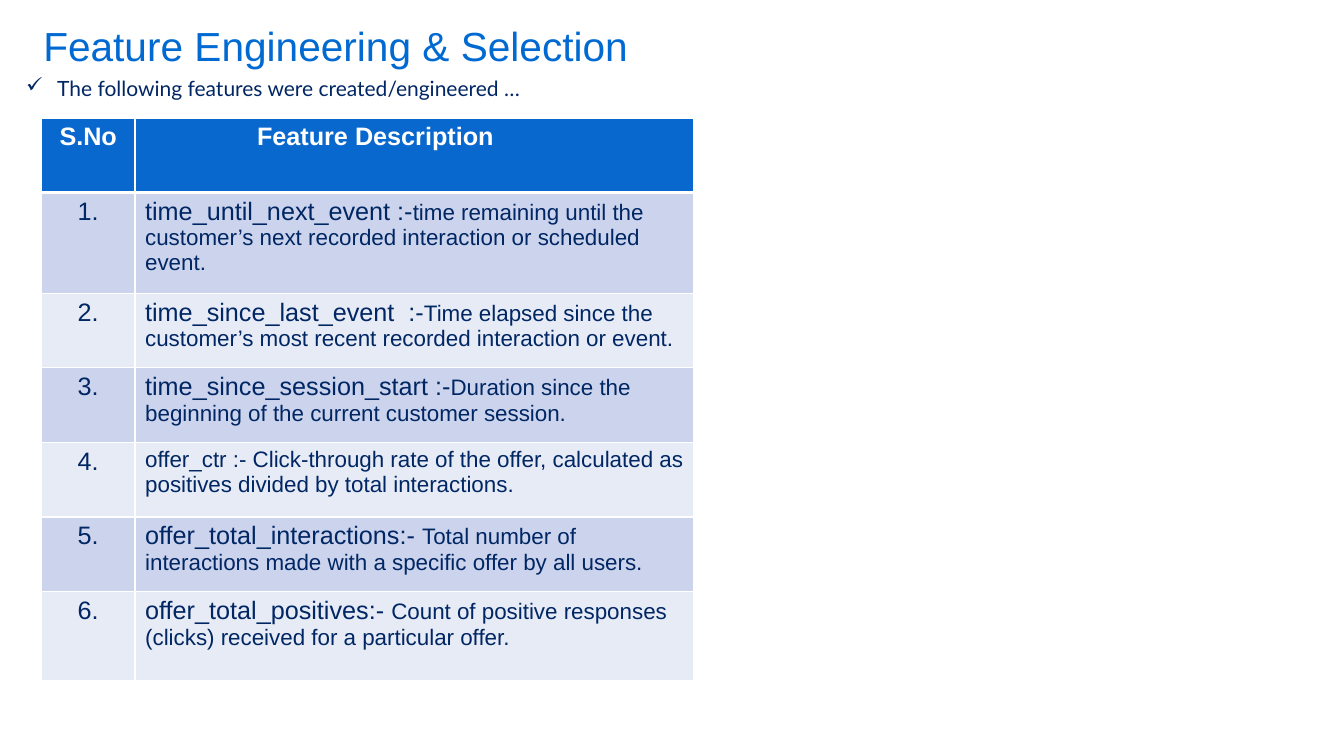
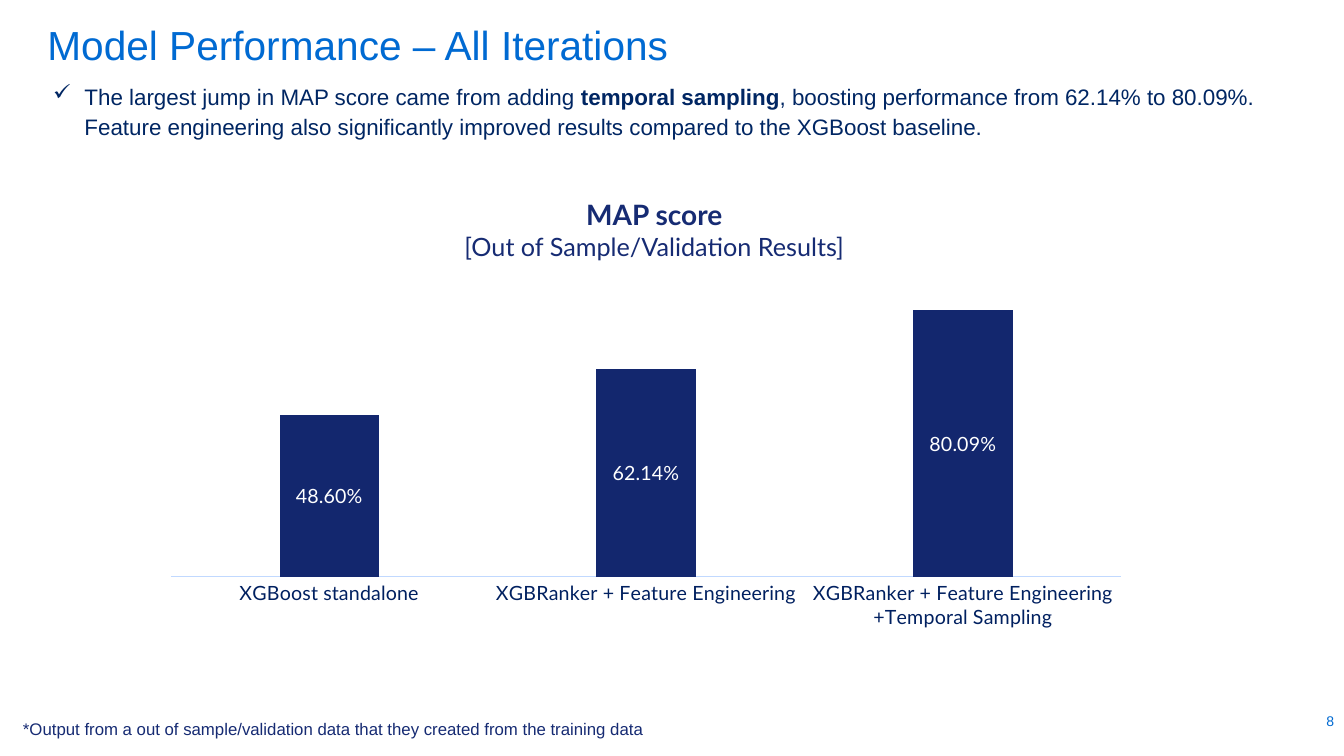
import dataclasses

import lxml.etree
import pptx
import pptx.chart.data
import pptx.dml.color
import pptx.enum.chart
import pptx.enum.text
import pptx.oxml
import pptx.oxml.ns
import pptx.util

Inches = pptx.util.Inches
Pt = pptx.util.Pt
RGB = pptx.dml.color.RGBColor.from_string
qn = pptx.oxml.ns.qn
ALIGN = pptx.enum.text.PP_ALIGN
ANCHOR = pptx.enum.text.MSO_ANCHOR


@dataclasses.dataclass(frozen=True)
class Theme:
    blue: str = "006AD2"
    navy: str = "002663"
    indigo: str = "162B73"
    bar: str = "13276E"
    axis_text: str = "002060"
    axis_line: str = "C1D9FF"
    white: str = "FFFFFF"
    header: str = "0968CE"
    bands: tuple = ("CCD4ED", "E7EBF6")
    sans: str = "Arial"
    accent: str = "Lato"
    title_size: int = 29
    heading_size: int = 20
    large: int = 18
    body: int = 16
    lead: int = 15
    label: int = 14
    footnote: int = 12
    small: int = 10


theme = Theme()


def add_spans(para, spans, color, font=theme.sans):
    """Add (text, size, bold) spans; a newline in a text is a line break."""
    for text, size, bold in spans:
        for index, line in enumerate(text.split("\n")):
            if index:
                para.add_line_break()
            span = para.add_run()
            span.text = line
            span.font.size = Pt(size)
            span.font.bold = bold
            span.font.name = font
            span.font.color.rgb = RGB(color)


def add_text(page, place, paragraphs, color, font=theme.sans, align=ALIGN.LEFT,
             anchor=ANCHOR.TOP, inset=True, spacing=None, check=False):
    """Add a text box at (left, top, width, height), optionally check-marked."""
    box = page.shapes.add_textbox(*map(Inches, place))
    frame = box.text_frame
    frame.word_wrap = True
    frame.vertical_anchor = anchor
    if not inset:
        frame.margin_left = frame.margin_right = 0
        frame.margin_top = frame.margin_bottom = 0
    for index, spans in enumerate(paragraphs):
        para = frame.add_paragraph() if index else frame.paragraphs[0]
        para.alignment = align
        if spacing:
            para.line_spacing = spacing
        if check:
            para.space_after = Pt(4)
            properties = para._p.get_or_add_pPr()
            properties.set("marL", str(Inches(0.31)))
            properties.set("indent", str(Inches(-0.31)))
            lxml.etree.SubElement(properties, qn("a:buChar")).set("char", "✓")
        add_spans(para, spans, color, font)


deck = pptx.Presentation()
deck.slide_width = Inches(13.33)
deck.slide_height = Inches(7.5)

# Pages and their titles
titles = [
    ("Feature Engineering & Selection", 0.43, 0.29),
    ("Model Performance – All Iterations", 0.47, 0.28),
]
pages = []
for title, left, top in titles:
    page = deck.slides.add_slide(deck.slide_layouts[6])
    add_text(page, (left, top, 12, 1.09), [[(title, theme.title_size, False)]],
             theme.blue, inset=False, spacing=0.82)
    pages.append(page)
features_page, results_page = pages

# Features: lead line
add_text(features_page, (0.16, 0.68, 13.17, 0.36),
         [[("The following features were created/engineered …", theme.lead, False)]],
         theme.navy, theme.accent, spacing=1.1, check=True)

# Features: table, each row a name and its description
features = [
    ("time_until_next_event :-", "time remaining until the customer’s next "
     "recorded interaction or scheduled event."),
    ("time_since_last_event  :-", "Time elapsed since the customer’s most "
     "recent recorded interaction or event."),
    ("time_since_session_start :-", "Duration since the beginning of the "
     "current customer session."),
    ("", "offer_ctr :- Click-through rate of the offer, calculated as positives "
     "divided by total interactions."),
    ("offer_total_interactions:- ", "Total number of interactions made with a "
     "specific offer by all users."),
    ("offer_total_positives:- ", "Count of positive responses (clicks) received "
     "for a particular offer."),
]
rows = [([("S.No", theme.large, True)], [("Feature Description", theme.large, True)])]
for number, (name, description) in enumerate(features, 1):
    spans = [(name, theme.large, False)] if name else []
    spans.append((description, theme.body, False))
    rows.append(([(f"{number}.", theme.large, False)], spans))

table = features_page.shapes.add_table(
    len(rows), 2, Inches(0.41), Inches(1.17), Inches(6.47), Inches(5.57)).table
for column, width in zip(table.columns, (0.93, 5.54)):
    column.width = Inches(width)
for row, height in zip(table.rows, (0.74, 1, 0.74, 0.74, 0.74, 0.74, 0.88)):
    row.height = Inches(height)

for row_index, row in enumerate(rows):
    is_header = row_index == 0
    for column_index, spans in enumerate(row):
        cell = table.cell(row_index, column_index)
        para = cell.text_frame.paragraphs[0]
        para.alignment = ALIGN.LEFT if column_index else ALIGN.CENTER
        add_spans(para, spans, theme.white if is_header else theme.navy)
        if is_header and column_index:
            cell.margin_left = Inches(1.21)
        # White rules, heavier where the header meets the body
        for side in "LRTB":
            heavy = (row_index, side) in ((0, "B"), (1, "T"))
            border = lxml.etree.SubElement(
                cell._tc.get_or_add_tcPr(), qn(f"a:ln{side}"))
            border.set("w", str(Pt(3 if heavy else 1)))
            paint = lxml.etree.SubElement(border, qn("a:solidFill"))
            lxml.etree.SubElement(paint, qn("a:srgbClr")).set("val", theme.white)
        cell.fill.solid()
        cell.fill.fore_color.rgb = RGB(
            theme.header if is_header else theme.bands[(row_index - 1) % 2])

# Results: page number and chart heading
add_text(results_page, (12.18, 6.99, 1.15, 0.33), [[("8", theme.small, False)]],
         theme.blue, align=ALIGN.RIGHT, anchor=ANCHOR.MIDDLE)
add_text(results_page, (3.46, 1.96, 6.06, 0.64),
         [[("MAP score", theme.heading_size, True)],
          [("[Out of Sample/Validation Results]", theme.large, False)]],
         theme.indigo, theme.accent, align=ALIGN.CENTER, inset=False)

# Results: column chart
scores = pptx.chart.data.CategoryChartData(number_format="0.00%")
scores.categories = [
    "XGBoost standalone",
    "XGBRanker + Feature Engineering",
    "XGBRanker + Feature Engineering +Temporal Sampling",
]
scores.add_series("Series 1", (0.486, 0.6214, 0.8009))
chart = results_page.shapes.add_chart(
    pptx.enum.chart.XL_CHART_TYPE.COLUMN_CLUSTERED,
    Inches(1.5), Inches(2.59), Inches(9.72), Inches(3.82), scores).chart
chart.has_title = False
chart.has_legend = False
chart.font.name = theme.sans
chart.font.size = Pt(theme.small)
chart.font.color.rgb = RGB(theme.navy)

category_axis = chart.category_axis
category_axis.major_tick_mark = pptx.enum.chart.XL_TICK_MARK.NONE
category_axis.format.line.color.rgb = RGB(theme.axis_line)
category_axis.format.line.width = Pt(0.75)
value_axis = chart.value_axis
value_axis.visible = False
value_axis.has_major_gridlines = False
value_axis.minimum_scale = 0
value_axis.maximum_scale = 0.9

plot = chart.plots[0]
plot.vary_by_categories = False
plot.gap_width = 219
plot.overlap = -27
bars = plot.series[0]
bars.format.fill.solid()
bars.format.fill.fore_color.rgb = RGB(theme.bar)
labels = bars.data_labels
labels.show_value = True
labels.position = pptx.enum.chart.XL_LABEL_POSITION.CENTER
labels.number_format = "0.00%"
labels.number_format_is_linked = False
for font, color in ((category_axis.tick_labels.font, theme.axis_text),
                    (labels.font, theme.white)):
    font.name = theme.accent
    font.size = Pt(theme.label)
    font.bold = False
    font.color.rgb = RGB(color)

# Fixed inner plot area, as fractions of the chart
plot_area = chart._chartSpace.chart.plotArea
for old_layout in plot_area.findall(qn("c:layout")):
    plot_area.remove(old_layout)
layout = lxml.etree.Element(qn("c:layout"))
manual = lxml.etree.SubElement(layout, qn("c:manualLayout"))
for tag, value in (("layoutTarget", "inner"), ("xMode", "edge"), ("yMode", "edge"),
                   ("x", "0.02"), ("y", "0.04"), ("w", "0.97"), ("h", "0.78")):
    lxml.etree.SubElement(manual, qn(f"c:{tag}")).set("val", value)
plot_area.insert(0, layout)

# Results: finding and footnote
add_text(results_page, (0.43, 0.75, 13.17, 1.01),
         [[("The largest jump in MAP score came from adding ", theme.body, False),
           ("temporal sampling", theme.body, True),
           (", boosting performance from 62.14% to 80.09%.\nFeature engineering also "
            "significantly improved results compared to the XGBoost baseline.",
            theme.body, False)]],
         theme.navy, spacing=1.1, check=True)
add_text(results_page, (0.13, 7.14, 10.76, 0.18),
         [[("*Output from a out of sample/validation data that they created from "
            "the training data", theme.footnote, False)]],
         theme.indigo, anchor=ANCHOR.MIDDLE)

deck.save("out.pptx")
